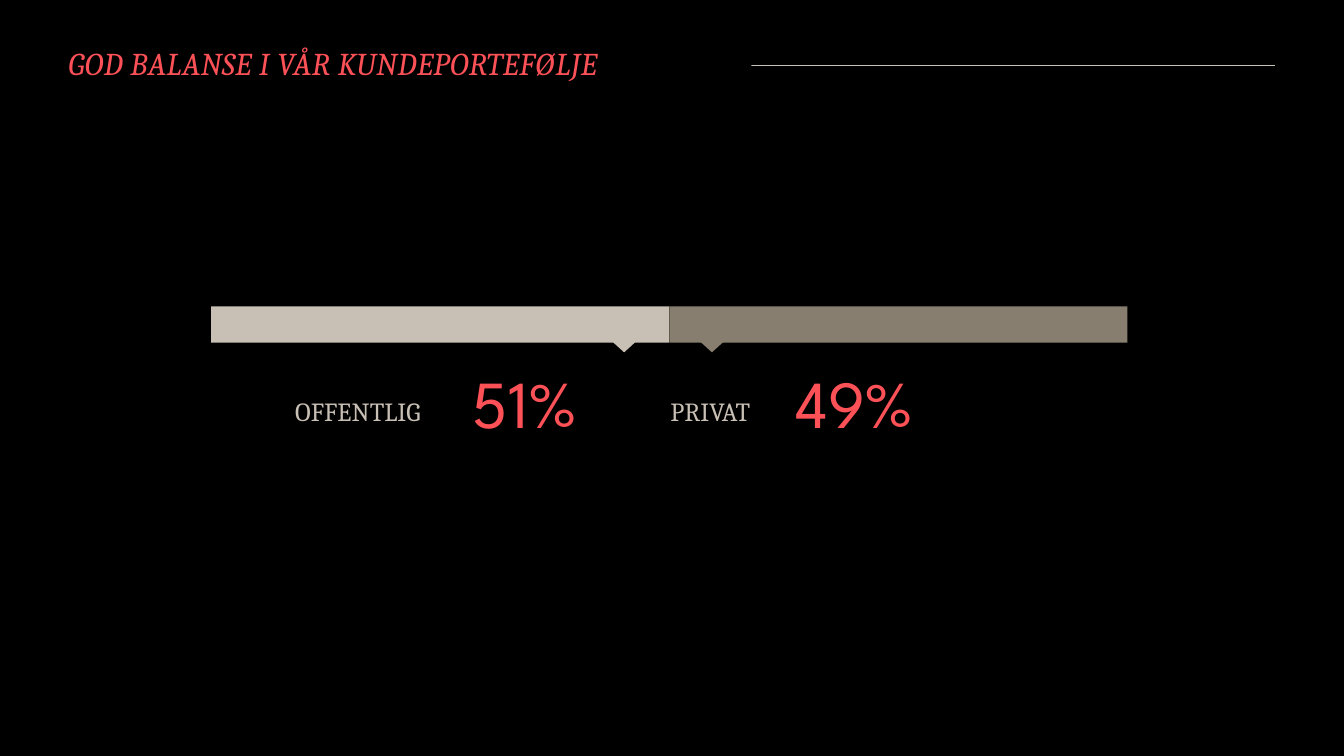
from lxml import etree
from pptx import Presentation
from pptx.dml.color import RGBColor
from pptx.enum import shapes as sh, text as tx
from pptx.oxml.ns import qn
from pptx.util import Cm, Pt

TITLE = "GOD BALANSE I VÅR KUNDEPORTEFØLJE"
BLACK, RED, SAND, BROWN = "000000", "FD5158", "C9C0B5", "887E6F"
SERIF, SANS = "Cambria", "League Spartan"
PARTS = [
    dict(name="OFFENTLIG", share="51%", fill=SAND, left=5.33, wide=3.36, tip=11.4),
    dict(name="PRIVAT", share="49%", fill=BROWN, left=12.42, wide=2.36, tip=13.06),
]
BAR = dict(left=3.99, top=5.79, wide=8.66, high=0.69)
TIP = dict(top=6.3, wide=0.79, high=0.36)


def color(code):
    return RGBColor.from_string(code)


def style(para, size, face, code):
    font = para.font
    font.size, font.name, font.color.rgb = Pt(size), face, color(code)


def block(slide, kind, left, top, wide, high, code):
    shape = slide.shapes.add_shape(kind, Cm(left), Cm(top), Cm(wide), Cm(high))
    shape.shadow.inherit = False
    shape.fill.solid()
    shape.fill.fore_color.rgb = color(code)
    shape.line.fill.background()
    return shape


def label(slide, words, left, top, wide, high, size, face, code):
    box = slide.shapes.add_textbox(Cm(left), Cm(top), Cm(wide), Cm(high))
    frame = box.text_frame
    frame.word_wrap = False
    frame.auto_size = tx.MSO_AUTO_SIZE.SHAPE_TO_FIT_TEXT
    frame.text = words
    para = frame.paragraphs[0]
    para.space_after = Pt(4)
    style(para, size, face, code)


def header(slide):
    rule = slide.shapes.add_connector(
        sh.MSO_CONNECTOR.STRAIGHT, Cm(1.35), Cm(1.24), Cm(24.1), Cm(1.24))
    rule.line.color.rgb = color(SAND)
    rule.line.width = Pt(0.2)
    etree.SubElement(rule.element.spPr, qn("a:effectLst"))

    title = slide.shapes.title
    rule.element.addnext(title.element)
    title.left, title.top, title.width, title.height = map(Cm, (1.04, 0.81, 13.16, 0.74))
    title.fill.solid()
    title.fill.fore_color.rgb = color(BLACK)
    frame = title.text_frame
    frame.text = TITLE
    frame.word_wrap = False
    frame.auto_size = tx.MSO_AUTO_SIZE.SHAPE_TO_FIT_TEXT
    frame.vertical_anchor = tx.MSO_ANCHOR.MIDDLE
    frame.margin_top = frame.margin_bottom = 0
    para = frame.paragraphs[0]
    para.alignment = tx.PP_ALIGN.LEFT
    style(para, 17, SERIF, RED)
    para.font.italic = True
    para.runs[0].font._element.set("spc", "20")


def main():
    deck = Presentation()
    deck.slide_width, deck.slide_height = Cm(25.4), Cm(14.29)
    slide = deck.slides.add_slide(deck.slide_layouts[5])
    slide.background.fill.solid()
    slide.background.fill.fore_color.rgb = color(BLACK)
    header(slide)
    for i, part in enumerate(PARTS):
        left, wide = part["left"], part["wide"]
        label(slide, part["name"], left, 7.34, wide, 0.86, 14, SERIF, SAND)
        label(slide, part["share"], left + wide, 6.71, 2.92, 1.8, 36, SANS, RED)
        block(slide, sh.MSO_SHAPE.RECTANGLE, BAR["left"] + i * BAR["wide"],
              BAR["top"], BAR["wide"], BAR["high"], part["fill"])
        tip = block(slide, sh.MSO_SHAPE.ISOSCELES_TRIANGLE, part["tip"],
                    TIP["top"], TIP["wide"], TIP["high"], part["fill"])
        tip.rotation = 180
    deck.save("out.pptx")


if __name__ == "__main__":
    main()
